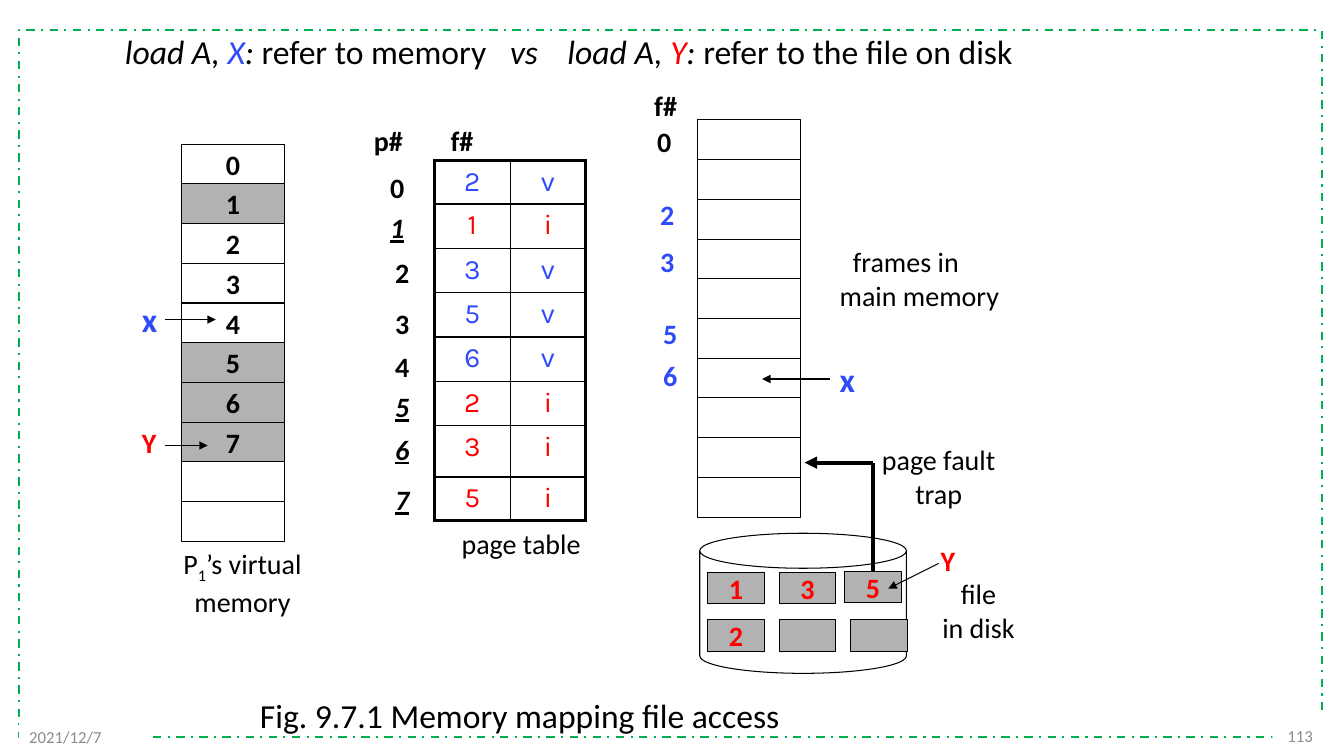
from lxml import etree
from pptx import Presentation
from pptx.dml.color import RGBColor
from pptx.enum.dml import MSO_LINE
from pptx.enum.shapes import MSO_CONNECTOR, MSO_SHAPE
from pptx.enum.text import MSO_ANCHOR, PP_ALIGN
from pptx.oxml.ns import qn
from pptx.util import Inches, Pt

RECT, CAN = MSO_SHAPE.RECTANGLE, MSO_SHAPE.CAN
LEFT, MID, RIGHT = PP_ALIGN.LEFT, PP_ALIGN.CENTER, PP_ALIGN.RIGHT
TOP, CENTER = MSO_ANCHOR.TOP, MSO_ANCHOR.MIDDLE
STRAIGHT, DASH_DOT = MSO_CONNECTOR.STRAIGHT, MSO_LINE.DASH_DOT
BLACK, WHITE, GRAY, PALE = "000000", "FFFFFF", "B2B2B2", "8C8C8C"
BLUE, RED, GREEN = "2E4BFA", "FF0000", "00B050"


def rgb(code):
    return RGBColor.from_string(code)


def put(frame, lines, align=LEFT, anchor=TOP, wrap=False, tabs=(),
        indents=(), **base):
    """Fill a frame; a line is a string or a list of (text, format) runs."""
    frame.word_wrap = wrap
    frame.vertical_anchor = anchor
    for i, line in enumerate(lines):
        para = frame.paragraphs[0] if i == 0 else frame.add_paragraph()
        props = para._p.get_or_add_pPr()
        if indents:
            props.set("marL", str(Inches(indents[i])))
        if tabs:
            stops = etree.SubElement(props, qn("a:tabLst"))
            for pos in tabs:
                etree.SubElement(stops, qn("a:tab"), pos=str(Inches(pos)), algn="l")
        para.alignment = align
        for words, own in [(line, {})] if isinstance(line, str) else line:
            style(para.add_run(), words, **{**base, **own})


def style(run, words, size=20, color=BLACK, face="Calibri", bold=False,
          italic=False, under=False, shift=0):
    run.text = words
    font = run.font
    font.name, font.size = face, Pt(size)
    font.bold, font.italic, font.underline = bold, italic, under
    font.color.rgb = rgb(color)
    if shift:
        run._r.get_or_add_rPr().set("baseline", str(shift * 1000))


class Board:
    def __init__(self, slide, ink=BLACK, thin=0.75):
        self.shapes = slide.shapes
        self.ink, self.thin = ink, thin

    def label(self, x, y, w, h, *lines, **fmt):
        box = self.shapes.add_textbox(Inches(x), Inches(y), Inches(w), Inches(h))
        put(box.text_frame, lines, **fmt)

    def shape(self, kind, x, y, w, h, words="", fill=None, line=True, align=MID, **fmt):
        item = self.shapes.add_shape(kind, Inches(x), Inches(y), Inches(w), Inches(h))
        item.shadow.inherit = False
        if fill:
            item.fill.solid()
            item.fill.fore_color.rgb = rgb(fill)
        else:
            item.fill.background()
        if line:
            item.line.color.rgb = rgb(self.ink)
            item.line.width = Pt(self.thin)
        else:
            item.line.fill.background()
        if words:
            put(item.text_frame, [words], align=align, anchor=CENTER, **fmt)
        return item

    def line(self, x1, y1, x2, y2, width=None, head=True):
        link = self.shapes.add_connector(
            STRAIGHT, Inches(x1), Inches(y1), Inches(x2), Inches(y2))
        link.line.color.rgb = rgb(self.ink)
        link.line.width = Pt(width or self.thin)
        if head:
            etree.SubElement(link.line._get_or_add_ln(), qn("a:tailEnd"), type="triangle")
        etree.SubElement(link._element.spPr, qn("a:effectLst"))
        return link

    def table(self, x, y, width, heights, rows):
        cols = len(rows[0])
        grid = self.shapes.add_table(len(rows), cols, Inches(x), Inches(y),
                                     Inches(width * cols), Inches(sum(heights))).table
        grid.first_row = grid.horz_banding = False
        for col in grid.columns:
            col.width = Inches(width)
        for r, row in enumerate(rows):
            grid.rows[r].height = Inches(heights[r])
            for c, words in enumerate(row):
                cell = grid.cell(r, c)
                edges = {"lnL": c == 0, "lnR": c == cols - 1,
                         "lnT": r == 0, "lnB": r == len(rows) - 1}
                for side, outer in edges.items():
                    self.edge(cell, side, 2.25 if outer else 1)
                cell.fill.background()
                color = BLUE if row[-1] == "v" else RED
                put(cell.text_frame, [words], align=MID, wrap=True, face="Karla", color=color)

    def edge(self, cell, side, width):
        line = etree.SubElement(cell._tc.get_or_add_tcPr(), qn(f"a:{side}"), w=str(Pt(width)))
        fill = etree.SubElement(line, qn("a:solidFill"))
        etree.SubElement(fill, qn("a:srgbClr"), val=self.ink)


def main():
    deck = Presentation()
    deck.slide_width, deck.slide_height = Inches(13.33), Inches(7.5)
    board = Board(deck.slides.add_slide(deck.slide_layouts[6]))

    border = board.shape(RECT, 0.19, 0.3, 12.92, 7.01)
    border.line.color.rgb = rgb(GREEN)
    border.line.width = Pt(1.5)
    border.line.dash_style = DASH_DOT
    board.shape(RECT, 12.62, 7.1, 0.5, 0.4, "113", WHITE, False, RIGHT, size=12, color=PALE)
    board.shape(RECT, 0.19, 7.11, 1.32, 0.4, "2021/12/7", WHITE, False, LEFT,
                size=12, color=PALE)

    plain = {"italic": False}
    board.label(1.14, 0.26, 9.67, 0.5, [
        ("load A, ", {}), ("X", {"color": BLUE}), (": ", {}), ("refer to memory", plain),
        ("\tvs\tload A, ", {}), ("Y", {"color": RED}), (": ", {}),
        ("refer to the file on disk", plain),
    ], size=24, italic=True, wrap=True, tabs=(3.82, 4.39))
    board.label(2.48, 6.84, 5.5, 0.5, "Fig. 9.7.1 Memory mapping file access", size=24)

    # Virtual memory and main memory stacks
    high = 3.94 / 10
    mapped = (1, 5, 6, 7)
    for i in range(10):
        used = i < 8
        fill = GRAY if i in mapped else WHITE if used else None
        board.shape(RECT, 1.8, 1.43 + i * high, 1.02, high, str(i) if used else "",
                    fill, bold=True)
        board.shape(RECT, 6.92, 1.19 + i * high, 1.02, high)
    board.label(1.65, 5.37, 1.51, 0.77,
                [("P", {}), ("1", {"shift": -25}), ("’s virtual", {})], "memory", align=MID)
    board.label(8.23, 2.38, 1.8, 0.77, "frames in", "main memory", indents=(0.13, 0))

    # Frame numbers
    board.label(6.39, 0.83, 0.43, 0.44, "f#", bold=True)
    frames = [("0", 6.42, 1.19, BLACK), ("2", 6.45, 1.91, BLUE), ("3", 6.45, 2.38, BLUE),
              ("5", 6.48, 3.09, BLUE), ("6", 6.48, 3.51, BLUE)]
    for name, x, y, color in frames:
        board.label(x, y, 0.34, 0.44, name, bold=True, color=color)

    # Page table
    board.label(3.61, 1.18, 0.5, 0.44, "p#", bold=True)
    board.label(4.37, 1.18, 0.43, 0.44, "f#", bold=True)
    for page, y in enumerate((1.66, 2.06, 2.51, 3.01, 3.44, 3.84, 4.26, 4.76)):
        x = 3.43 if page < 2 else 3.48
        board.label(x, y, 1.02, 0.39, str(page), align=MID, anchor=CENTER, bold=True,
                    italic=page in mapped, under=page in mapped)
    board.table(4.31, 1.59, 0.75, [0.43] + [0.44] * 5 + [0.51, 0.43],
                ["2v", "1i", "3v", "5v", "6v", "2i", "3i", "5i"])
    board.label(4.48, 5.17, 1.4, 0.44, "page table")

    # Disk with its file blocks
    board.shape(CAN, 6.94, 5.29, 2.05, 1.39)
    blocks = [("1", 7.02, 5.68), ("3", 7.73, 5.68), ("2", 7.02, 6.15),
              ("", 7.73, 6.15), ("", 8.44, 6.15), ("5", 8.38, 5.67)]
    for name, x, y in blocks:
        block = board.shape(RECT, x, y, 0.56, 0.31, name, GRAY, bold=True, color=RED)
    board.label(9.23, 5.67, 0.95, 0.77, "file", "in disk", align=MID)

    # Page fault trap, from the last block to the frames
    trap = board.line(8.66, 4.59, 8.66, 5.67, 3, head=False)
    trap.end_connect(block, 0)
    board.line(8.66, 4.59, 7.98, 4.59, 3)
    board.label(8.61, 4.34, 1.4, 0.77, "page fault", "trap", align=MID)

    # References to X and Y
    for x, y in ((1.31, 2.92), (8.23, 3.51)):
        board.label(x, y, 0.37, 0.5, "x", size=24, bold=True, color=BLUE)
    for x, y in ((1.31, 4.17), (9.23, 5.34)):
        board.label(x, y, 0.35, 0.44, "Y", bold=True, color=RED)
    for ends in ((1.64, 3.17, 2.14, 3.17), (1.64, 4.42, 2.06, 4.42),
                 (8.23, 3.76, 7.56, 3.76), (9.31, 5.59, 8.81, 5.84)):
        board.line(*ends)

    deck.save("out.pptx")


if __name__ == "__main__":
    main()
